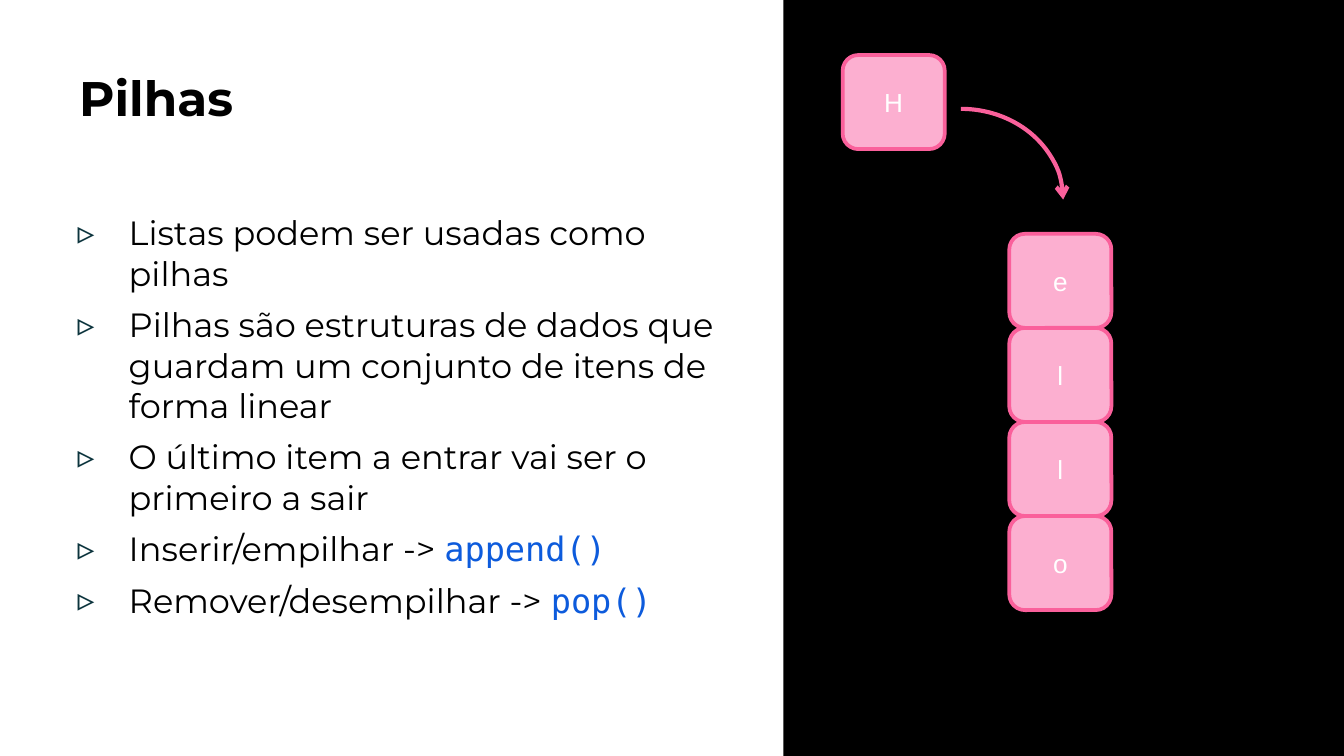
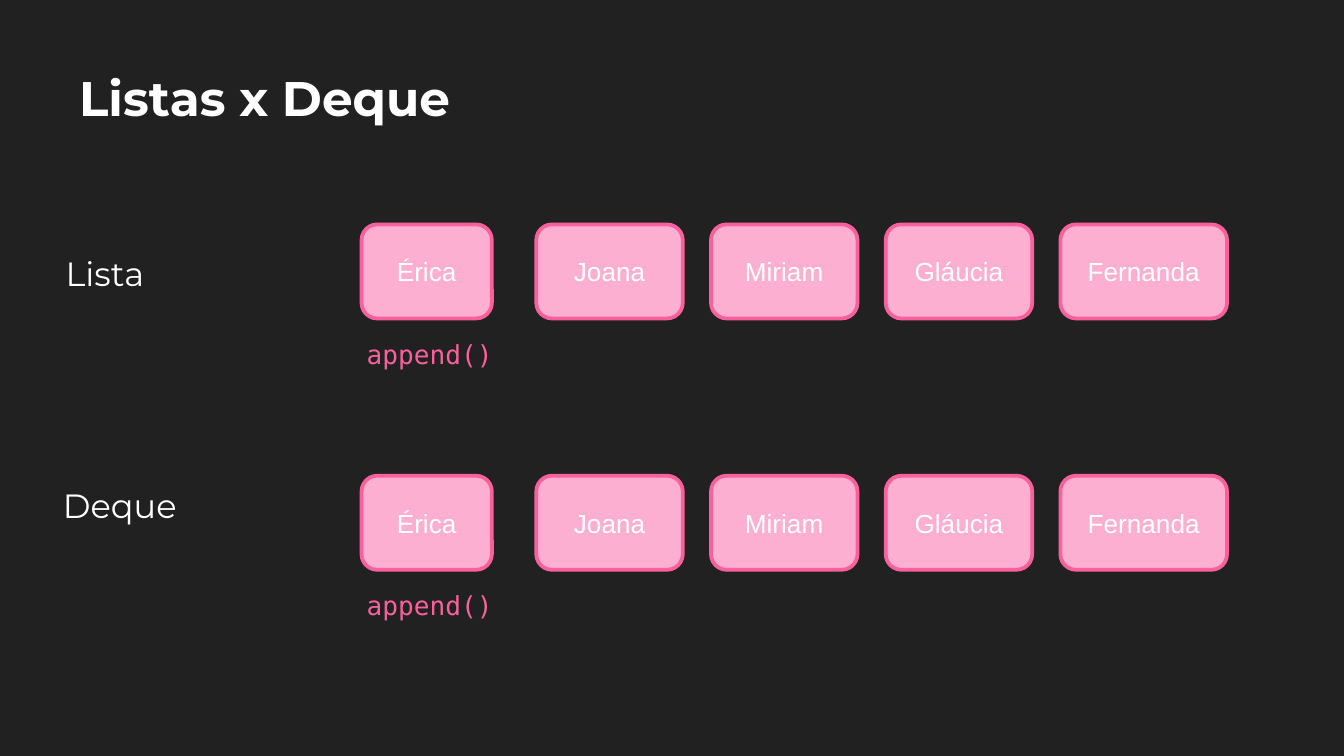
from dataclasses import dataclass

import lxml.etree
import pptx
import pptx.dml.color
import pptx.enum.shapes
import pptx.enum.text
import pptx.oxml.ns
import pptx.util
from pptx.util import Inches


@dataclass(frozen=True)
class Theme:
    white: str = "FFFFFF"
    black: str = "000000"
    charcoal: str = "212121"
    pink: str = "FA609B"
    light_pink: str = "FCAFD0"
    blue: str = "0D5BDC"
    bullet: str = "0C343D"
    body_font: str = "Montserrat"
    item_font: str = "Arial"
    code_font: str = "DejaVu Sans Mono"
    title_size: int = 26
    body_size: int = 18
    item_size: int = 14


THEME = Theme()
RGB = pptx.dml.color.RGBColor.from_string
SHAPE = pptx.enum.shapes.MSO_SHAPE
QN = pptx.oxml.ns.qn
TITLE_BOX = (0.49, 0.41, 4.51, 0.64)
ITEM_HEIGHT = 0.7


def add_label(slide, box, text, font, size, color, bold=False, indent=0, before=0, inset=0.1):
    """Add a text box, one paragraph per line of text, and return its text frame."""
    frame = slide.shapes.add_textbox(*map(Inches, box)).text_frame
    frame.word_wrap = True
    frame.margin_left = frame.margin_right = Inches(0.1)
    frame.margin_top = frame.margin_bottom = Inches(inset)
    frame.text = text
    for paragraph in frame.paragraphs:
        paragraph.space_before = pptx.util.Pt(before)
        paragraph._p.get_or_add_pPr().set("marL", str(Inches(indent)))
        for run in paragraph.runs:
            run.font.name = font
            run.font.size = pptx.util.Pt(size)
            run.font.bold = bold
            run.font.color.rgb = RGB(color)
    return frame


def add_item(slide, left, top, width, text):
    """Add one element of a data structure as a rounded pink box."""
    item = slide.shapes.add_shape(
        SHAPE.ROUNDED_RECTANGLE, Inches(left), Inches(top), Inches(width), Inches(ITEM_HEIGHT))
    item.shadow.inherit = False
    item.fill.solid()
    item.fill.fore_color.rgb = RGB(THEME.light_pink)
    item.line.color.rgb = RGB(THEME.pink)
    item.line.width = pptx.util.Pt(2)
    frame = item.text_frame
    frame.text = text
    frame.vertical_anchor = pptx.enum.text.MSO_ANCHOR.MIDDLE
    frame.paragraphs[0].alignment = pptx.enum.text.PP_ALIGN.CENTER
    font = frame.paragraphs[0].runs[0].font
    font.name = THEME.item_font
    font.size = pptx.util.Pt(THEME.item_size)
    font.color.rgb = RGB(THEME.white)


deck = pptx.Presentation()
deck.slide_width = Inches(10)
deck.slide_height = Inches(10) * 9 // 16
blank = deck.slide_layouts[6]

# Slide 1: stacks
stacks = deck.slides.add_slide(blank)
stacks.background.fill.solid()
stacks.background.fill.fore_color.rgb = RGB(THEME.white)

panel = stacks.shapes.add_shape(
    SHAPE.RECTANGLE, Inches(5.83), 0, Inches(4.17), deck.slide_height)
panel.shadow.inherit = False
panel.fill.solid()
panel.fill.fore_color.rgb = RGB(THEME.black)
panel.line.fill.background()

add_label(stacks, TITLE_BOX, "Pilhas", THEME.body_font, THEME.title_size, THEME.black, bold=True)

add_item(stacks, 6.27, 0.41, 0.76, "H")
for level, letter in enumerate("ello"):
    add_item(stacks, 7.51, 1.74 + level * ITEM_HEIGHT, 0.76, letter)

push_arrow = stacks.shapes.add_shape(
    SHAPE.ARC, Inches(6.39), Inches(0.81), Inches(1.52), Inches(1.35))
push_arrow.shadow.inherit = False
push_arrow.fill.background()
push_arrow.line.color.rgb = RGB(THEME.pink)
push_arrow.line.width = pptx.util.Pt(2.25)
lxml.etree.SubElement(push_arrow.line._get_or_add_ln(), QN("a:tailEnd"), type="arrow")

points = [
    ("Listas podem ser usadas como pilhas", ""),
    ("Pilhas são estruturas de dados que guardam um conjunto de itens de forma linear", ""),
    ("O último item a entrar vai ser o primeiro a sair", ""),
    ("Inserir/empilhar -> ", "append()"),
    ("Remover/desempilhar -> ", "pop()"),
]
explanation = add_label(
    stacks, (0.36, 1.48, 5.27, 3.65), "\n".join(prose for prose, method in points),
    THEME.body_font, THEME.body_size, THEME.black, indent=0.5, before=6)
for paragraph, (prose, method) in zip(explanation.paragraphs, points):
    properties = paragraph._p.get_or_add_pPr()
    properties.set("indent", str(Inches(-0.38)))
    bullet_color = lxml.etree.SubElement(properties, QN("a:buClr"))
    lxml.etree.SubElement(bullet_color, QN("a:srgbClr"), val=THEME.bullet)
    lxml.etree.SubElement(properties, QN("a:buFont"), typeface=THEME.body_font)
    lxml.etree.SubElement(properties, QN("a:buChar"), char="▹")
    if method:
        call = paragraph.add_run()
        call.text = method
        call.font.name = THEME.code_font
        call.font.size = pptx.util.Pt(THEME.body_size)
        call.font.color.rgb = RGB(THEME.blue)

# Slide 2: lists and deques
comparison = deck.slides.add_slide(blank)
comparison.background.fill.solid()
comparison.background.fill.fore_color.rgb = RGB(THEME.charcoal)

add_label(comparison, TITLE_BOX, "Listas x Deque",
          THEME.body_font, THEME.title_size, THEME.white, bold=True)

people = [("Érica", 0.97), ("Joana", 1.09), ("Miriam", 1.09), ("Gláucia", 1.09), ("Fernanda", 1.24)]
structures = [("Lista", 0.27, 1.78, 1.67), ("Deque", 0.25, 3.51, 3.54)]
for structure, label_left, label_top, row_top in structures:
    add_label(comparison, (label_left, label_top, 1.24, 0.59), structure,
              THEME.body_font, THEME.body_size, THEME.white, indent=0.12, before=6)
    for position, (person, width) in enumerate(people):
        add_item(comparison, 2.69 + position * 1.3, row_top, width, person)
    add_label(comparison, (2.51, row_top + 0.8, 1.36, 0.34), "append()",
              THEME.code_font, THEME.item_size, THEME.pink, indent=0.12, before=6, inset=0.05)

deck.save("out.pptx")
